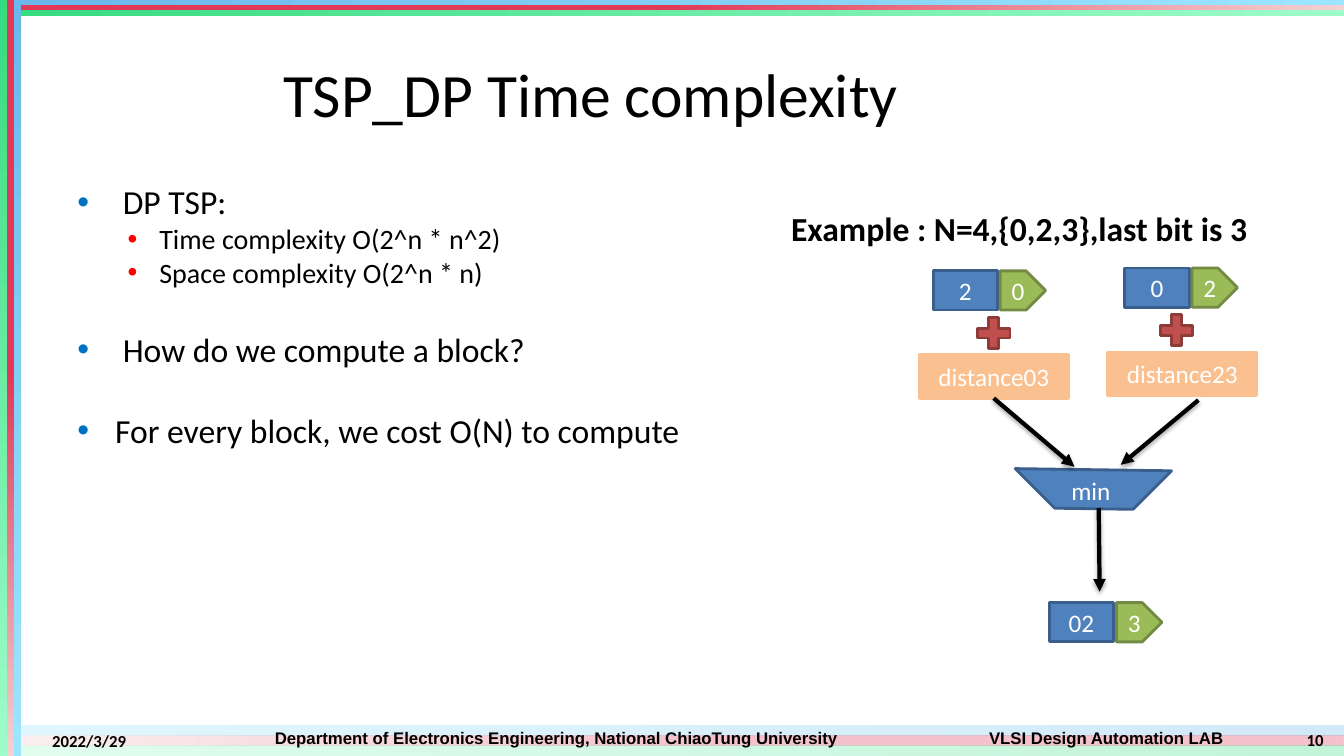
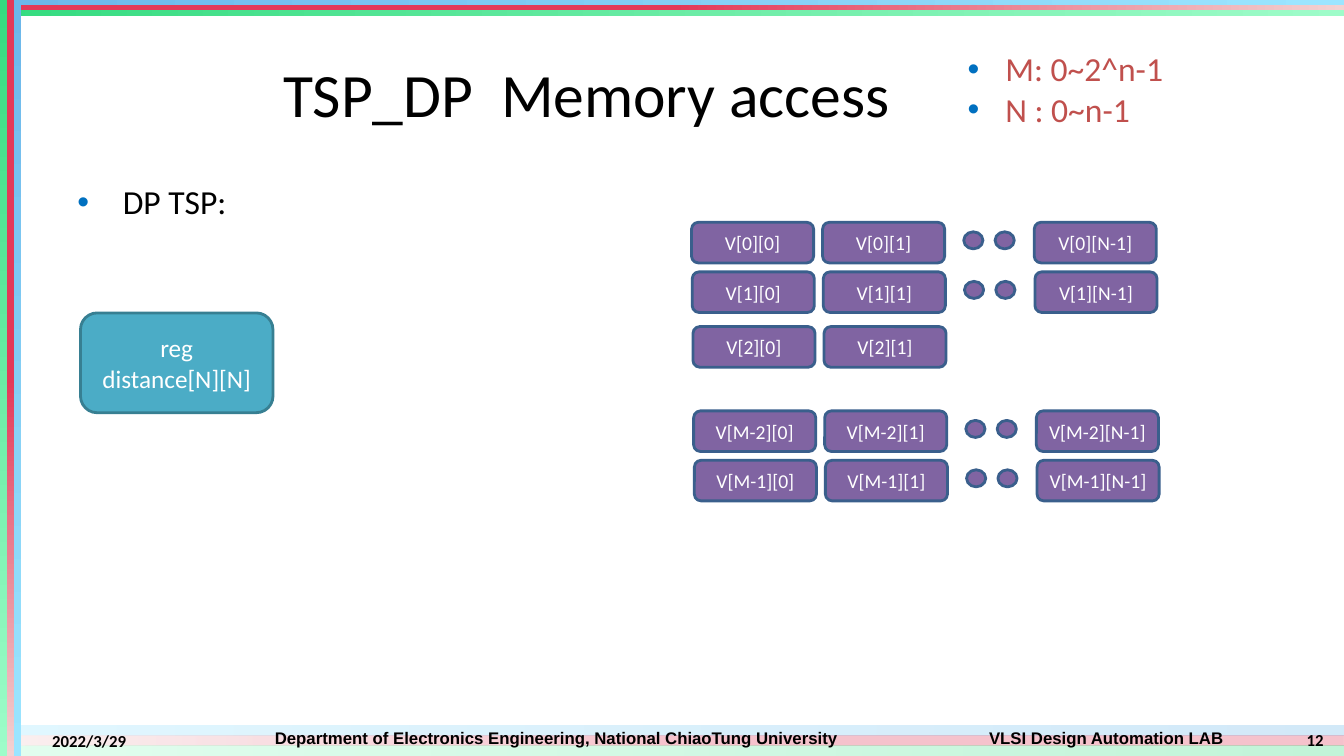
import lxml.etree
import pptx
import pptx.dml.color
import pptx.enum.shapes
import pptx.enum.text
import pptx.oxml.ns
import pptx.util

Pt = pptx.util.Pt
SHAPE = pptx.enum.shapes.MSO_SHAPE
ALIGN = pptx.enum.text.PP_ALIGN
ANCHOR = pptx.enum.text.MSO_ANCHOR


def color(value):
    return pptx.dml.color.RGBColor.from_string(value)


def add_node(parent, tag, **attributes):
    return lxml.etree.SubElement(parent, pptx.oxml.ns.qn(tag), attributes)


class Deck:
    WIDTH, HEIGHT = 960, 540
    FONT, BAND_FONT = "Calibri", "Arial"
    BLACK, WHITE = "000000", "FFFFFF"
    BLUE, NAVY = "4F81BD", "3A5F8C"
    GREEN, OLIVE = "9BBB59", "738A42"
    RED, MAROON = "C0504D", "8E3B39"
    PURPLE, ORANGE = "8064A2", "FAC090"
    TEAL, DARK_TEAL = "4BACC6", "377F92"
    SKY_BAND = ((0, "6CB7EA"), (1, "9BE5FF"))
    RED_BAND = ((0.5, "E33959"), (1, "F2D2D2"))
    GREEN_BAND = ((0, "35DB80"), (1, "9EFCC9"))
    BULLETS = (("0070C0", 24, 27, 27), ("FF0000", 20, 58.5, 22.5))

    def __init__(self):
        self.deck = pptx.Presentation()
        self.deck.slide_width = Pt(self.WIDTH)
        self.deck.slide_height = Pt(self.HEIGHT)
        self.page = None

    def add_page(self, title, number):
        self.page = self.deck.slides.add_slide(self.deck.slide_layouts[5])
        self.bands()
        box = self.page.shapes.title
        box.left, box.top, box.width, box.height = Pt(195), Pt(21.6), Pt(717), Pt(90)
        box.text_frame.auto_size = pptx.enum.text.MSO_AUTO_SIZE.NONE
        self.set_text(box, title, 44, anchor=ANCHOR.MIDDLE)
        middle = {"bold": True, "anchor": ANCHOR.MIDDLE}
        for left, width, text in (
            (150, 495, "Department of Electronics Engineering, National ChiaoTung University"),
            (660, 260.5, "VLSI Design Automation LAB"),
        ):
            self.text(left, 525, width, 4, text, 12, font=self.BAND_FONT,
                      align=ALIGN.CENTER, wrap=False, **middle)
        self.text(30.2, 517.7, 105, 22.3, "2022/3/29", 12, **middle)
        self.text(910.8, 517, 41.8, 23, number, 12, align=ALIGN.RIGHT, **middle)

    def bands(self):
        stack = (self.SKY_BAND, self.RED_BAND, self.GREEN_BAND)
        for index, stops in enumerate(stack):
            mirrored = [(1 - position, tint) for position, tint in reversed(stops)]
            self.band(0, 518 + 7.3 * index, self.WIDTH, 7.3, mirrored, opacity=30)
            self.band(0, 3.7 * index, self.WIDTH, 3.7, stops)
        for index, stops in enumerate(reversed(stack)):
            self.band(5 * index, 0, 5, self.HEIGHT, stops, angle=270)

    def band(self, left, top, width, height, stops, angle=0, opacity=100):
        strip = self.page.shapes.add_shape(
            SHAPE.RECTANGLE, Pt(left), Pt(top), Pt(width), Pt(height))
        strip.shadow.inherit = False
        strip.line.fill.background()
        strip.fill.gradient()
        strip.fill.gradient_angle = angle
        for stop, (position, tint) in zip(strip.fill.gradient_stops, stops):
            stop.position = position
            stop.color.rgb = color(tint)
        if opacity < 100:
            for tint in strip.element.iter(pptx.oxml.ns.qn("a:srgbClr")):
                add_node(tint, "a:alpha", val=str(opacity * 1000))

    def set_text(self, box, text, size, tint=BLACK, font=FONT, bold=False,
                 align=ALIGN.LEFT, anchor=ANCHOR.TOP, wrap=True):
        frame = box.text_frame
        frame.text = text
        frame.word_wrap = wrap
        frame.vertical_anchor = anchor
        for para in frame.paragraphs:
            para.alignment = align
            for span in para.runs:
                span.font.name = font
                span.font.size = Pt(size)
                span.font.bold = bold
                span.font.color.rgb = color(tint)

    def text(self, left, top, width, height, text, size, **style):
        box = self.page.shapes.add_textbox(Pt(left), Pt(top), Pt(width), Pt(height))
        self.set_text(box, text, size, **style)
        return box

    def bullets(self, left, top, width, height, items, tint=BLACK):
        lines = "\n".join(text for text, level, gap in items)
        box = self.text(left, top, width, height, lines, 24, tint=tint)
        for para, (text, level, gap) in zip(box.text_frame.paragraphs, items):
            bullet, size, margin, hanging = self.BULLETS[level]
            para.level = level
            para.space_before = Pt(gap)
            para.runs[0].font.size = Pt(size)
            properties = para._p.get_or_add_pPr()
            properties.set("marL", str(Pt(margin)))
            properties.set("indent", str(-Pt(hanging)))
            add_node(add_node(properties, "a:buClr"), "a:srgbClr", val=bullet)
            add_node(properties, "a:buFont", typeface=self.BAND_FONT)
            add_node(properties, "a:buChar", char="•")

    def shape(self, kind, left, top, width, height, fill, line, text="", size=18):
        box = self.page.shapes.add_shape(kind, Pt(left), Pt(top), Pt(width), Pt(height))
        box.shadow.inherit = False
        box.fill.solid()
        box.fill.fore_color.rgb = color(fill)
        box.line.color.rgb = color(line)
        box.line.width = Pt(2)
        if text:
            box.text_frame.margin_left = box.text_frame.margin_right = 0
            self.set_text(box, text, size, self.WHITE, align=ALIGN.CENTER,
                          anchor=ANCHOR.MIDDLE)
        return box

    def state(self, left, top, visited, last):
        self.shape(SHAPE.RECTANGLE, left, top, 46, 28, self.BLUE, self.NAVY, visited)
        self.shape(SHAPE.PENTAGON, left + 48, top, 32.4, 28, self.GREEN, self.OLIVE, last)

    def arrow(self, start, end, source=None):
        line = self.page.shapes.add_connector(
            pptx.enum.shapes.MSO_CONNECTOR.STRAIGHT, *map(Pt, start + end))
        if source is not None:
            line.begin_connect(source, 2)
        line.line.color.rgb = color(self.BLACK)
        line.line.width = Pt(3)
        properties = line.element.spPr
        add_node(properties.find(pptx.oxml.ns.qn("a:ln")), "a:tailEnd", type="triangle")
        shadow = add_node(add_node(properties, "a:effectLst"), "a:outerShdw",
                          blurRad=str(Pt(3.1)), dist=str(Pt(1.8)),
                          dir="5400000", rotWithShape="0")
        tint = add_node(shadow, "a:srgbClr", val=self.BLACK)
        add_node(tint, "a:alpha", val="35000")


def add_complexity_page(deck):
    deck.add_page("TSP_DP Time complexity", "10")
    deck.bullets(48.2, 126, 484, 356, (
        (" DP TSP:", 0, 0),
        ("Time complexity O(2^n * n^2)", 1, 0),
        ("Space complexity O(2^n * n)", 1, 0),
        (" How do we compute a block?", 0, 28.4),
        ("For every block, we cost O(N) to compute", 0, 29.3),
    ))
    deck.state(749.5, 430.5, "02", "3")
    distances = []
    for left, top, visited, last, plus_left, distance_left, distance in (
        (666.5, 193.5, "2", "0", 694, 656.6, "distance03"),
        (803.5, 191.5, "0", "2", 824.5, 791.3, "distance23"),
    ):
        deck.state(left, top, visited, last)
        distances.append(deck.shape(SHAPE.RECTANGLE, distance_left, top + 60, 106.5, 31,
                                    deck.ORANGE, deck.ORANGE, distance))
        deck.shape(SHAPE.MATH_PLUS, plus_left, top + 29.5, 31.7, 30, deck.RED, deck.MAROON)
    minimum = deck.shape(SHAPE.DIAGONAL_STRIPE, 741, 296.6, 80, 77.8, deck.BLUE, deck.NAVY)
    minimum.rotation = 225
    deck.text(758.2, 336.2, 54.7, 29, "min", 18, tint=deck.WHITE)
    deck.arrow((712.8, 285.8), (767.5, 333.4), distances[0])
    deck.arrow((856, 285.8), (800.6, 332))
    deck.arrow((784.8, 363), (785.5, 422.6))
    deck.text(558, 144.7, 375.8, 42.5, "Example : N=4,{0,2,3},last bit is 3", 24, bold=True)


def add_memory_page(deck):
    deck.add_page("TSP_DP  Memory access ", "12")
    deck.bullets(48.2, 126, 276.5, 90, ((" DP TSP:", 0, 0),))
    columns = (("0", 0), ("1", 93.6), ("N-1", 244.8))
    rows = (("0", 158.8), ("1", 194.2), ("2", 233.3), ("M-2", 293.5), ("M-1", 328.8))
    for index, (row, top) in enumerate(rows):
        left = 494 + 0.5 * index
        complete = row != "2"
        for column, offset in columns if complete else columns[:2]:
            deck.shape(SHAPE.ROUNDED_RECTANGLE, left + offset, top, 87.2, 29,
                       deck.PURPLE, deck.NAVY, f"V[{row}][{column}]", 14)
        for offset in (194.4, 216.8) if complete else ():
            deck.shape(SHAPE.FLOWCHART_CONNECTOR, left + offset, top + 6.8, 13.7, 12.2,
                       deck.PURPLE, deck.NAVY)
    deck.shape(SHAPE.ROUNDED_RECTANGLE, 57.5, 223.5, 137.5, 71.3,
               deck.TEAL, deck.DARK_TEAL, "reg\ndistance[N][N]")
    deck.bullets(684, 31, 276, 90, (("M: 0~2^n-1", 0, 0), ("N : 0~n-1", 0, 0)), deck.RED)


def main():
    deck = Deck()
    add_complexity_page(deck)
    add_memory_page(deck)
    deck.deck.save("out.pptx")


if __name__ == "__main__":
    main()
